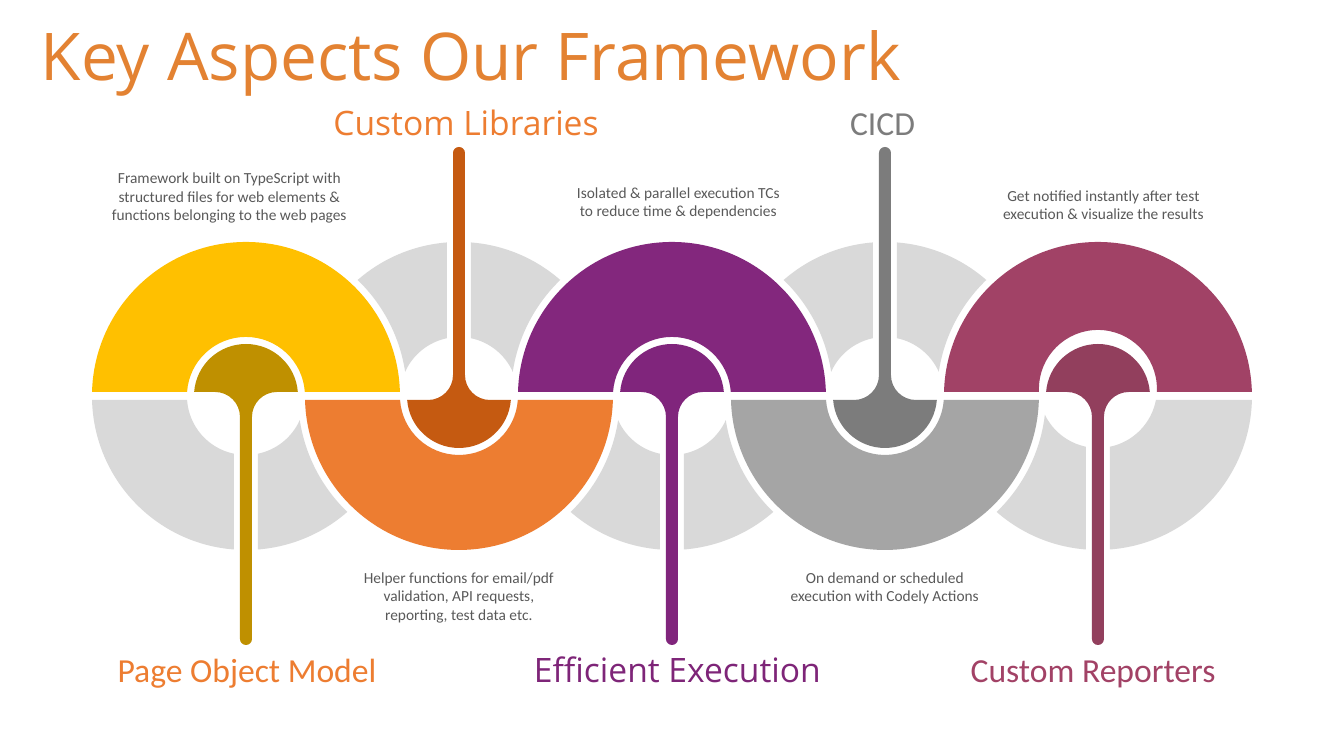
from dataclasses import dataclass
from math import acos, atan2, ceil, cos, degrees, hypot, radians, sin, sqrt, tan

from pptx import Presentation
from pptx.dml.color import RGBColor
from pptx.enum.text import MSO_ANCHOR, MSO_AUTO_SIZE, PP_ALIGN
from pptx.oxml.ns import qn
from pptx.util import Emu, Pt

LEFT, CENTER = PP_ALIGN.LEFT, PP_ALIGN.CENTER
TOP, BOTTOM = MSO_ANCHOR.TOP, MSO_ANCHOR.BOTTOM


@dataclass(frozen=True)
class Theme:
    title: str = "E38232"
    body: str = "595959"
    ghost: str = "D9D9D9"
    title_size: int = 47
    label_size: int = 24
    body_size: int = 11
    display_font: str = "Open Sans"
    body_font: str = "Calibri"


THEME = Theme()
TITLE = "Key Aspects Our Framework"
TITLE_BOX = (31, 19, 1055, 90)

# Boxes are (left, top, width, height) in px; aspects alternate up and down.
ASPECTS = [
    dict(label="Page Object Model", label_box=(93, 644, 308, 50),
         label_color="ED7D31", font=THEME.body_font,
         detail="Framework built on TypeScript with structured files for web "
                "elements & functions belonging to the web pages",
         detail_box=(100, 162, 259, 67), ring="FFC000", pin="BF9000", rise=0),
    dict(label="Custom Libraries", label_box=(286, 97, 360, 50),
         label_color="ED7D31", font=THEME.display_font,
         detail="Helper functions for email/pdf validation, API requests, "
                "reporting, test data etc.",
         detail_box=(359, 563, 200, 67), ring="ED7D31", pin="C55A11", rise=0),
    dict(label="Efficient Execution", label_box=(503, 644, 349, 50),
         label_color="7E2578", font=THEME.display_font,
         detail="Isolated & parallel execution TCs to reduce time & dependencies",
         detail_box=(572, 178, 213, 47), ring="83277D", pin="80257C", rise=0),
    dict(label="CICD", label_box=(672, 97, 421, 50),
         label_color="7C7C7C", font=THEME.body_font,
         detail="On demand or scheduled execution with Codely Actions",
         detail_box=(785, 563, 200, 47), ring="A5A5A5", pin="7C7C7C", rise=0),
    dict(label="Custom Reporters", label_box=(935, 644, 316, 50),
         label_color="A24266", font=THEME.body_font,
         detail="Get notified instantly after test execution & visualize the results",
         detail_box=(998, 181, 211, 47), ring="A14266", pin="923F5D", rise=7),
]

WIDTH, HEIGHT = 1344, 756
EMU_PER_PX = 12192000 / WIDTH
FIRST_X, PITCH, AXIS_Y = 246, 213, 396
OUTER, HOLE, NEIGHBOUR, HALF_GAP = 154, 59, 161, 4
HEAD, FILLET, STEM, CAP_Y, CLEARANCE = 52, 25, 6, -243, 12


def px(value):
    return Emu(round(value * EMU_PER_PX))


def arc(center, radius, start, end):
    """Bezier points (x, y, curved) along a circle, angles in degrees."""
    count = ceil(abs(end - start) / 90)
    step = radians(end - start) / count
    reach = radius * 4 / 3 * tan(step / 4)

    def near(angle, shift, curved=True):
        return (center[0] + radius * cos(angle) - shift * sin(angle),
                center[1] + radius * sin(angle) + shift * cos(angle), curved)

    points = [near(radians(start), 0, False)]
    for index in range(count):
        angle = radians(start) + index * step
        points += [near(angle, reach), near(angle + step, -reach), near(angle + step, 0)]
    return points


def arc_between(center, radius, start, end):
    """Bezier points along a circle between two points on it."""
    first, last = (degrees(atan2(y - center[1], x - center[0])) for x, y in (start, end))
    return arc(center, radius, first, last)


def point_at_x(x, radius, center_y=0):
    return x, center_y + sqrt(radius ** 2 - x ** 2)


def point_at_y(y, radius, center_y=0):
    return sqrt(radius ** 2 - (y - center_y) ** 2), y


def neighbour_crossing(radius, center_y=0):
    """Outward point where a circle meets the edge around the next ring."""
    distance = hypot(PITCH, center_y)
    cosine = (radius ** 2 + distance ** 2 - NEIGHBOUR ** 2) / (2 * radius * distance)
    angle = acos(cosine) + atan2(-center_y, PITCH)
    return radius * cos(angle), center_y + radius * sin(angle)


def half_ring(rise):
    x, y = point_at_y(HALF_GAP, OUTER)
    hole_x, hole_y = point_at_y(max(HALF_GAP, rise), HOLE, rise)
    return (arc_between((0, 0), OUTER, (x, y), (-x, y))
            + [(-hole_x, HALF_GAP, False)]
            + arc_between((0, rise), HOLE, (-hole_x, hole_y), (hole_x, hole_y))
            + [(hole_x, HALF_GAP, False)])


def ghost_quarter(rise, has_neighbour):
    if has_neighbour:
        outer_end, inner_end = neighbour_crossing(OUTER), neighbour_crossing(HOLE, -rise)
        edge = arc_between((PITCH, 0), NEIGHBOUR, outer_end, inner_end)
    else:
        outer_end = point_at_y(HALF_GAP, OUTER)
        inner_end = point_at_y(HALF_GAP, HOLE, -rise)
        edge = []
    return (arc_between((0, 0), OUTER, point_at_x(CLEARANCE, OUTER), outer_end) + edge
            + arc_between((0, -rise), HOLE, inner_end, point_at_x(CLEARANCE, HOLE, -rise)))


def pin():
    x, y = point_at_y(HALF_GAP, HEAD)
    fillet_x, fillet_y = STEM + FILLET, HALF_GAP - FILLET
    return (arc_between((0, 0), HEAD, (x, y), (-x, y))
            + arc((-fillet_x, fillet_y), FILLET, 90, 0)
            + arc((0, CAP_Y), STEM, 180, 360)
            + arc((fillet_x, fillet_y), FILLET, 180, 90))


def place(points, center_x, side, vertical):
    return [(px(center_x + x * side), px(AXIS_Y + y * vertical), curved)
            for x, y, curved in points]


def draw_outlines(slide, outlines, color):
    builder = slide.shapes.build_freeform(*outlines[0][0][:2], scale=1.0)
    for index, points in enumerate(outlines):
        if index:
            builder.move_to(*points[0][:2])
        builder.add_line_segments([point[:2] for point in points[1:]], close=True)
    shape = builder.convert_to_shape()
    shape.shadow.inherit = False
    shape.fill.solid()
    shape.fill.fore_color.rgb = RGBColor.from_string(color)
    shape.line.fill.background()

    flags = [point[2] for points in outlines for point in points[1:]]
    segments = shape._element.xpath(".//a:lnTo")
    curved = [segment for segment, flag in zip(segments, flags) if flag]
    for first, second, third in zip(curved[::3], curved[1::3], curved[2::3]):
        first.tag = qn("a:cubicBezTo")
        for segment in (second, third):
            first.append(segment[0])
            segment.getparent().remove(segment)


def write_text(shape, text, *, box, size, color, font, align=CENTER, anchor=TOP,
               side_inset=0, spacing=1.0):
    shape.left, shape.top, shape.width, shape.height = map(px, box)
    frame = shape.text_frame
    frame.text = text
    frame.word_wrap = True
    frame.auto_size = MSO_AUTO_SIZE.NONE
    frame.vertical_anchor = anchor
    frame.margin_left = frame.margin_right = px(side_inset)
    frame.margin_top = frame.margin_bottom = px(5)
    paragraph = frame.paragraphs[0]
    paragraph.alignment = align
    paragraph.line_spacing = spacing
    paragraph.font.name = font
    paragraph.font.size = Pt(size)
    paragraph.font.color.rgb = RGBColor.from_string(color)


def main():
    presentation = Presentation()
    presentation.slide_width, presentation.slide_height = px(WIDTH), px(HEIGHT)
    slide = presentation.slides.add_slide(presentation.slide_layouts[5])
    ghosts, solids = [], []
    for index, aspect in enumerate(ASPECTS):
        center_x = FIRST_X + index * PITCH
        vertical = 1 if index % 2 else -1
        for side in (-1, 1):
            quarter = ghost_quarter(aspect["rise"], 0 <= index + side < len(ASPECTS))
            ghosts.append(place(quarter, center_x, side, -vertical))
        for part, outline in (("ring", half_ring(aspect["rise"])), ("pin", pin())):
            solids.append((place(outline, center_x, 1, vertical), aspect[part]))

    draw_outlines(slide, ghosts, THEME.ghost)
    for outline, color in solids:
        draw_outlines(slide, [outline], color)

    for index, aspect in enumerate(ASPECTS):
        label_anchor, detail_anchor = (BOTTOM, TOP) if index % 2 else (TOP, BOTTOM)
        write_text(slide.shapes.add_textbox(0, 0, 0, 0), aspect["label"],
                   box=aspect["label_box"], size=THEME.label_size,
                   color=aspect["label_color"], font=aspect["font"], anchor=label_anchor)
        write_text(slide.shapes.add_textbox(0, 0, 0, 0), aspect["detail"],
                   box=aspect["detail_box"], size=THEME.body_size,
                   color=THEME.body, font=THEME.body_font, anchor=detail_anchor)
    write_text(slide.shapes.title, TITLE, box=TITLE_BOX, size=THEME.title_size,
               color=THEME.title, font=THEME.display_font, align=LEFT,
               side_inset=10, spacing=0.9)
    presentation.save("out.pptx")


if __name__ == "__main__":
    main()
